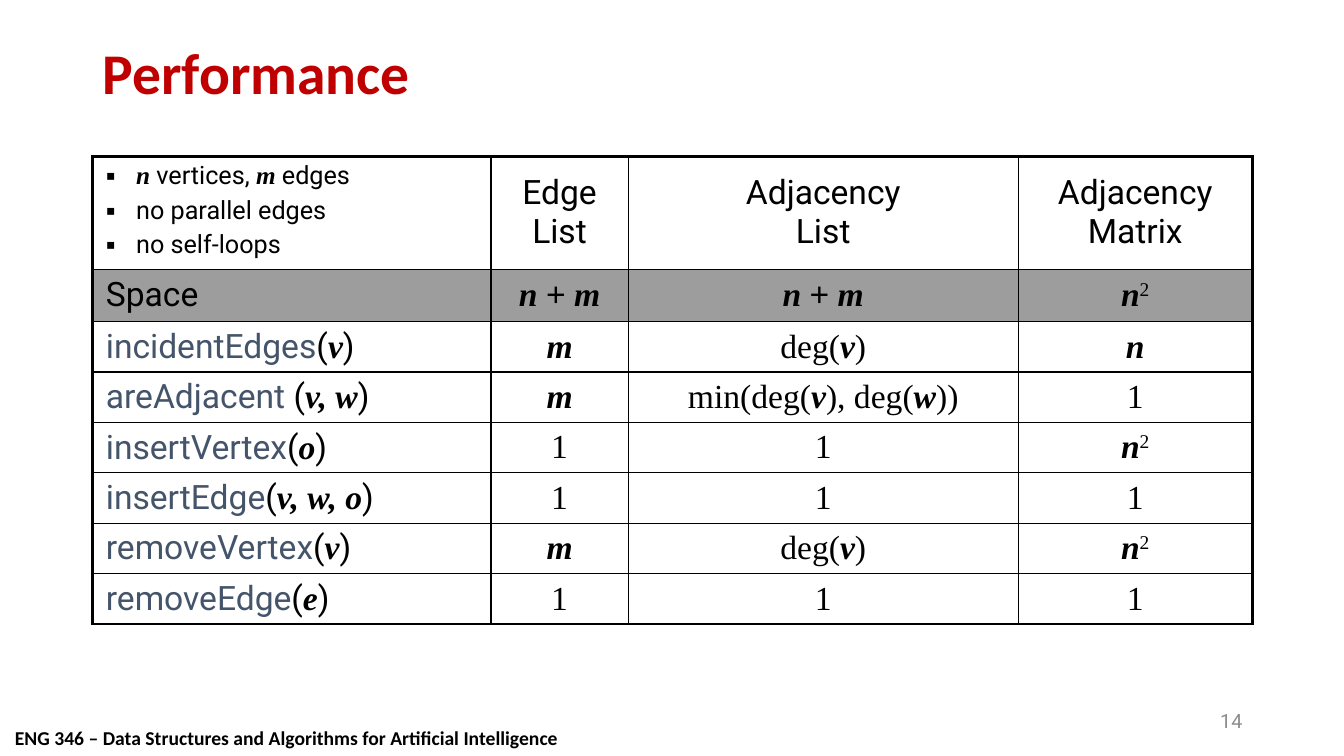
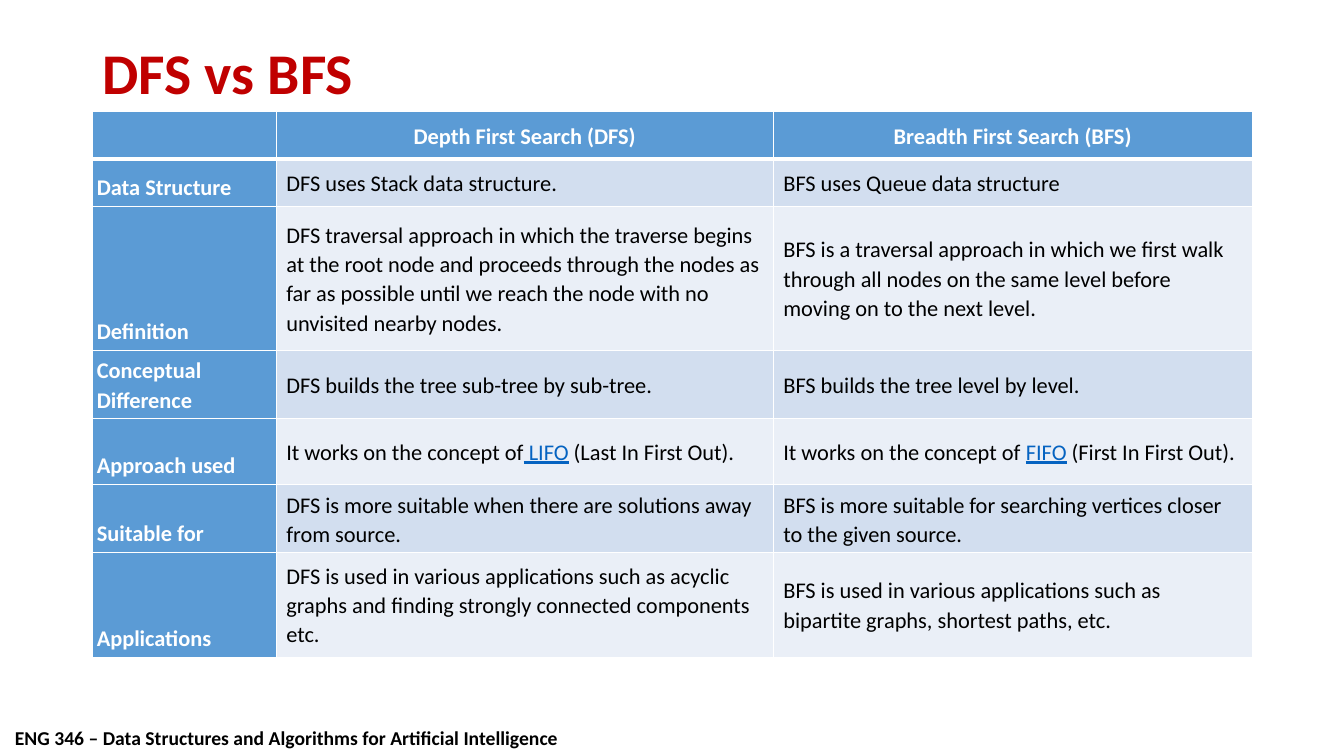
from lxml.etree import SubElement
from pptx import Presentation
from pptx.dml.color import RGBColor
from pptx.enum.text import MSO_ANCHOR as Anchor, PP_ALIGN as Align
from pptx.oxml.ns import qn
from pptx.util import Inches, Pt

BLACK = RGBColor(0x00, 0x00, 0x00)
WHITE = RGBColor(0xFF, 0xFF, 0xFF)
RED = RGBColor(0xC0, 0x00, 0x00)
GREY = RGBColor(0x9D, 0x9D, 0x9D)
PALE = RGBColor(0x8C, 0x8C, 0x8C)
SLATE = RGBColor(0x44, 0x54, 0x6A)
BLUE = RGBColor(0x5B, 0x9B, 0xD5)
LINK = RGBColor(0x05, 0x63, 0xC1)
BANDS = RGBColor(0xD2, 0xDE, 0xEF), RGBColor(0xEA, 0xEF, 0xF7)

TITLE = {"name": "Calibri", "size": Pt(41.1), "bold": True, "color": RED}
FOOT = {"name": "Calibri", "size": Pt(14), "bold": True, "color": BLACK}
NUMBER = {"name": "Roboto", "size": Pt(14), "color": PALE}
LABEL = {"name": "Roboto", "size": Pt(24), "color": BLACK}
METHOD = LABEL | {"color": SLATE}
NOTE = LABEL | {"size": Pt(18)}
VALUE = LABEL | {"name": "Times New Roman"}
MATH = {"name": "Times New Roman", "bold": True, "italic": True}
BODY = {"name": "Calibri", "size": Pt(16), "color": BLACK}
HEAD = BODY | {"bold": True, "color": WHITE}
URL = {"underline": True, "color": LINK}

COURSE = "ENG 346 – Data Structures and Algorithms for Artificial Intelligence"
THIN, THICK, RULE = 0.96, 2.21, 3

# Text between asterisks is marked; a part that starts with ^ is raised.
NOTES = ["*n* vertices, *m* edges", "no parallel edges", "no self-loops"]
COSTS = [
    ["", "Edge\nList", "Adjacency\nList", "Adjacency Matrix"],
    ["Space", "*n *+* m*", "*n *+* m*", "*n*^2"],
    ["incidentEdges(*v*)", "*m*", "deg(*v*)", "*n*"],
    ["areAdjacent (*v, w*)", "*m*", "min(deg(*v*), deg(*w*))", "1"],
    ["insertVertex(*o*)", "1", "1", "*n*^2"],
    ["insertEdge(*v, w, o*)", "1", "1", "1"],
    ["removeVertex(*v*)", "*m*", "deg(*v*)", "*n*^2"],
    ["removeEdge(*e*)", "1", "1", "1"],
]
SEARCH = [
    ["", "Depth First Search (DFS)", "Breadth First Search (BFS)"],
    ["Data Structure", "DFS uses Stack data structure.",
     "BFS uses Queue data structure"],
    ["Definition",
     "DFS traversal approach in which the traverse begins at the root node "
     "and proceeds through the nodes as far as possible until we reach the "
     "node with no unvisited nearby nodes.",
     "BFS is a traversal approach in which we first walk through all nodes "
     "on the same level before moving on to the next level."],
    ["Conceptual Difference", "DFS builds the tree sub-tree by sub-tree.",
     "BFS builds the tree level by level."],
    ["Approach used",
     "It works on the concept of* LIFO* (Last In First Out).",
     "It works on the concept of *FIFO* (First In First Out)."],
    ["Suitable for",
     "DFS is more suitable when there are solutions away from source.",
     "BFS is more suitable for searching vertices closer to the given source."],
    ["Applications",
     "DFS is used in various applications such as acyclic graphs and finding "
     "strongly connected components etc.",
     "BFS is used in various applications such as bipartite graphs, shortest "
     "paths, etc."],
]


def put(para, text, style):
    run = para.add_run()
    run.text = text
    for key, value in style.items():
        if key == "color":
            run.font.color.rgb = value
        else:
            setattr(run.font, key, value)
    return run


def write(para, text, base, mark=MATH):
    """Add runs to a paragraph, with marked parts and line breaks."""
    for row, line in enumerate(text.split("\n")):
        if row:
            para.add_line_break()
        for i, part in enumerate(line.split("*")):
            if not part:
                continue
            style = base | mark if i % 2 else base
            if part == "+":
                style = style | {"name": "Arial"}
            run = put(para, part.lstrip("^"), style)
            if part.startswith("^"):
                run.font._element.set("baseline", "30000")


def bullet(para):
    props = para._p.get_or_add_pPr()
    props.set("marL", str(Inches(0.3)))
    props.set("indent", str(-Inches(0.3)))
    color = SubElement(props, qn("a:buClr"))
    SubElement(color, qn("a:srgbClr"), val=str(BLACK))
    SubElement(props, qn("a:buSzPct"), val="110000")
    SubElement(props, qn("a:buFont"), typeface="Arial")
    SubElement(props, qn("a:buChar"), char="▪")


def border(cell, color, **widths):
    """Draw the cell edges; widths are points, by side."""
    props = cell._tc.get_or_add_tcPr()
    for side in "LRTB":
        line = SubElement(props, qn(f"a:ln{side}"), w=str(Pt(widths[side])))
        fill = SubElement(line, qn("a:solidFill"))
        SubElement(fill, qn("a:srgbClr"), val=str(color))


def paint(cell, color=None):
    if color is None:
        cell.fill.background()
    else:
        cell.fill.solid()
        cell.fill.fore_color.rgb = color


def pad(cell, side, anchor):
    cell.margin_left = cell.margin_right = Inches(side)
    cell.margin_top = cell.margin_bottom = Inches(0.05)
    cell.vertical_anchor = anchor


def label(slide, box, text, style, align=Align.LEFT, wrap=True):
    frame = slide.shapes.add_textbox(*map(Inches, box)).text_frame
    frame.word_wrap = wrap
    frame.vertical_anchor = Anchor.MIDDLE
    para = frame.paragraphs[0]
    para.alignment = align
    put(para, text, style)
    return para


def page(deck, title):
    """Add a slide with the shared title and course footer."""
    slide = deck.slides.add_slide(deck.slide_layouts[6])
    label(slide, (0.05, 7.15, 5.63, 0.33), COURSE, FOOT, wrap=False)
    label(slide, (0.92, 0.4, 11.5, 0.7), title, TITLE).line_spacing = 0.9
    return slide


def grid(slide, left, top, cols, rows):
    """Add a plain table with the given column widths and row heights."""
    size = Inches(sum(cols)), Inches(sum(rows))
    frame = slide.shapes.add_table(len(rows), len(cols),
                                   Inches(left), Inches(top), *size)
    table = frame.table
    table.first_row = table.horz_banding = False
    for col, width in zip(table.columns, cols):
        col.width = Inches(width)
    for row, height in zip(table.rows, rows):
        row.height = Inches(height)
    return table


def listing(frame):
    for i, text in enumerate(NOTES):
        para = frame.add_paragraph() if i else frame.paragraphs[0]
        bullet(para)
        if i:
            para.space_before = Pt(3.6)
        write(para, text, NOTE)


def costs(slide, left, top):
    cols, rows = [3.95, 1.36, 3.87, 2.32], [1.12, 0.52] + [0.5] * 6
    table = grid(slide, left, top, cols, rows)
    last, end = len(rows) - 1, len(cols) - 1
    for r, line in enumerate(COSTS):
        for c, text in enumerate(line):
            cell = table.cell(r, c)
            border(cell, BLACK, L=THIN if c else THICK, T=THIN if r else THICK,
                   R=THICK if c == end else THIN,
                   B=THICK if r == last else THIN)
            paint(cell, GREY if r == 1 else None)
            pad(cell, 0.13, Anchor.MIDDLE if r or c else Anchor.TOP)
            para = cell.text_frame.paragraphs[0]
            if c:
                para.alignment = Align.CENTER
                write(para, text, VALUE if r else LABEL)
            elif r == 0:
                listing(cell.text_frame)
            else:
                name, mark, args = text.partition("(")
                write(para, name, METHOD if mark else LABEL)
                write(para, mark + args, LABEL)


def search(slide, left, top):
    cols = [1.82, 4.93, 4.75]
    rows = [0.47, 0.47, 1.43, 0.66, 0.66, 0.66, 1.04]
    table = grid(slide, left, top, cols, rows)
    for r, line in enumerate(SEARCH):
        for c, text in enumerate(line):
            cell = table.cell(r, c)
            border(cell, WHITE, L=THIN, R=THIN, T=RULE if r == 1 else THIN,
                   B=THIN if r else RULE)
            inner = r and c
            paint(cell, BANDS[(r - 1) % 2] if inner else BLUE)
            pad(cell, 0.1 if c else 0.04, Anchor.MIDDLE if c else Anchor.BOTTOM)
            para = cell.text_frame.paragraphs[0]
            para.alignment = Align.LEFT if r else Align.CENTER
            para.line_spacing = 1.07
            para.space_after = Pt(8)
            write(para, text, BODY if inner else HEAD, URL)


def main():
    deck = Presentation()
    deck.slide_width, deck.slide_height = Inches(13.33), Inches(7.5)
    slide = page(deck, "Performance")
    costs(slide, 0.92, 1.55)
    label(slide, (9.42, 6.95, 3, 0.4), "14", NUMBER, Align.RIGHT)
    search(page(deck, "DFS vs BFS"), 0.92, 1.11)
    deck.save("out.pptx")


if __name__ == "__main__":
    main()
